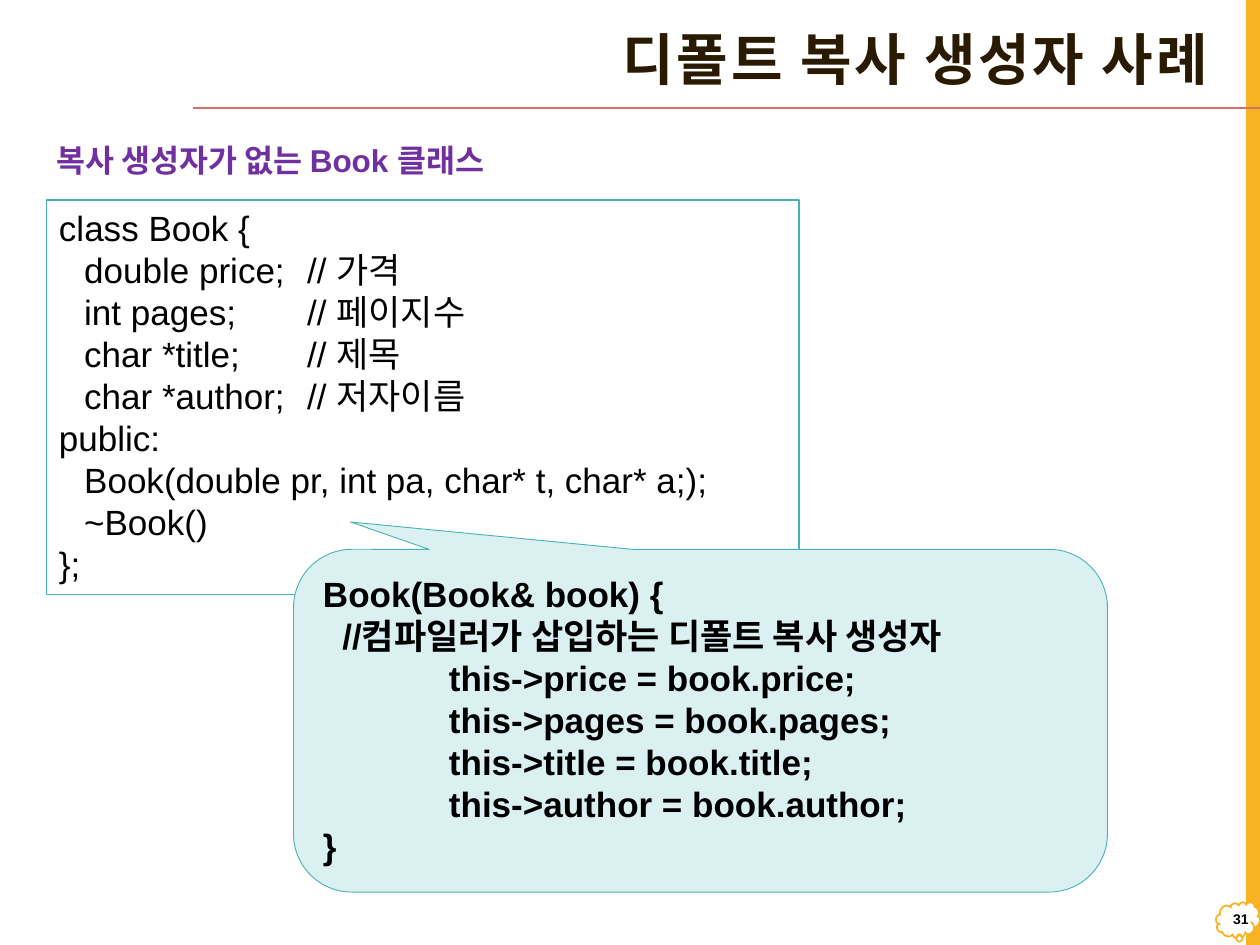
from lxml import etree
from pptx import Presentation
from pptx.dml.color import RGBColor
from pptx.enum.shapes import MSO_CONNECTOR, MSO_SHAPE
from pptx.enum.text import MSO_ANCHOR, MSO_AUTO_SIZE, PP_ALIGN
from pptx.oxml.ns import qn
from pptx.util import Inches, Pt

RECTANGLE = MSO_SHAPE.RECTANGLE
CLOUD = MSO_SHAPE.CLOUD_CALLOUT
CALLOUT = MSO_SHAPE.ROUNDED_RECTANGULAR_CALLOUT
STRAIGHT = MSO_CONNECTOR.STRAIGHT
TOP, MIDDLE = MSO_ANCHOR.TOP, MSO_ANCHOR.MIDDLE
LEFT, RIGHT = PP_ALIGN.LEFT, PP_ALIGN.RIGHT
NO_AUTOFIT = MSO_AUTO_SIZE.NONE

COLORS = {
    "white": "FFFFFF", "black": "000000", "gold": "F8B323", "rule": "D36F68",
    "title": "2A1A00", "purple": "7030A0", "teal": "46B2B5", "pale": "DAF0F1",
}
FORMATS = {
    "title": {"name": "Roboto Condensed", "size": Pt(32), "bold": True, "color": "title"},
    "number": {"name": "Arial", "size": Pt(8), "bold": True, "color": "black"},
    "heading": {"name": "Arial", "size": Pt(18), "bold": True, "color": "purple"},
    "code": {"name": "Arial", "size": Pt(20), "bold": False, "color": "black"},
    "bold_code": {"name": "Arial", "size": Pt(20), "bold": True, "color": "black"},
}
CLASS_CODE = [
    "class Book {",
    "\tdouble price;\t// 가격",
    "\tint pages;\t// 페이지수",
    "\tchar *title;\t// 제목",
    "\tchar *author;\t// 저자이름",
    "public:",
    "\tBook(double pr, int pa, char* t, char* a;);",
    "\t~Book()",
    "};",
]
CONSTRUCTOR_CODE = [
    "Book(Book& book) {",
    "  //컴파일러가 삽입하는 디폴트 복사 생성자",
    *(f"\tthis->{field} = book.{field};" for field in ("price", "pages", "title", "author")),
    "}",
]


def color(name):
    return RGBColor.from_string(COLORS[name])


def add_box(slide, kind, box, fill, line=None, width=1, adjustments=()):
    shape = slide.shapes.add_shape(kind, *map(Inches, box))
    shape.shadow.inherit = False
    shape.fill.solid()
    shape.fill.fore_color.rgb = color(fill)
    if line:
        shape.line.color.rgb = color(line)
        shape.line.width = Pt(width)
    else:
        shape.line.fill.background()
    for index, value in enumerate(adjustments):
        shape.adjustments[index] = value
    return shape


def add_tab_stops(paragraph, positions):
    tab_list = etree.SubElement(paragraph._p.get_or_add_pPr(), qn("a:tabLst"))
    for position in positions:
        etree.SubElement(tab_list, qn("a:tab"), pos=str(Inches(position)), algn="l")


def write(shape, lines, style, align=LEFT, anchor=TOP, wrap=True, spacing=None, tabs=()):
    frame = shape.text_frame
    frame.word_wrap = wrap
    frame.auto_size = NO_AUTOFIT
    frame.vertical_anchor = anchor
    for index, line in enumerate(lines):
        paragraph = frame.add_paragraph() if index else frame.paragraphs[0]
        paragraph.alignment = align
        if spacing:
            paragraph.line_spacing = spacing
        if tabs:
            add_tab_stops(paragraph, tabs)
        run = paragraph.add_run()
        run.text = line
        for name, value in FORMATS[style].items():
            if name == "color":
                run.font.color.rgb = color(value)
            else:
                setattr(run.font, name, value)


def add_text(slide, box, lines, style, **options):
    write(slide.shapes.add_textbox(*map(Inches, box)), lines, style, **options)


def add_frame(slide, width, height):
    # Side bar, page-number cloud and title rule
    add_box(slide, RECTANGLE, (width - 0.11, 0, 0.11, height), "gold")
    add_box(slide, CLOUD, (width - 0.35, 7.16, 0.35, 0.29), "white", "gold",
            adjustments=(0.03, 0.43))
    rule = slide.shapes.add_connector(
        STRAIGHT, Inches(width), Inches(0.86), Inches(1.53), Inches(0.86))
    rule.line.color.rgb = color("rule")
    rule.line.width = Pt(1)
    etree.SubElement(rule._element.spPr, qn("a:effectLst"))
    add_text(slide, (width - 0.34, 7.12, 0.35, 0.35), ["31"], "number",
             align=RIGHT, anchor=MIDDLE)


def add_title(slide, box):
    title = slide.shapes.title
    title.left, title.top, title.width, title.height = map(Inches, box)
    write(title, ["디폴트 복사 생성자 사례"], "title", align=RIGHT, anchor=MIDDLE, spacing=0.9)
    # Letter spacing in hundredths of a point
    title.text_frame.paragraphs[0].runs[0]._r.get_or_add_rPr().set("spc", "150")


def add_class_code(slide, box):
    left, top = box[:2]
    panel = add_box(slide, RECTANGLE, box, "white", "teal")
    write(panel, CLASS_CODE, "code", spacing=Pt(24), tabs=(0.2, 1.97))
    add_text(slide, (left - 0.02, top - 0.52, 3.95, 0.4),
             ["복사 생성자가 없는 Book 클래스"], "heading", wrap=False)


def add_constructor_callout(slide, box):
    callout = add_box(slide, CALLOUT, box, "pale", "teal", 0.5, (-0.43, -0.58, 0.17))
    write(callout, CONSTRUCTOR_CODE, "bold_code", spacing=Pt(24), tabs=(1,))


def main():
    presentation = Presentation()
    presentation.slide_width, presentation.slide_height = Inches(10), Inches(7.5)
    slide = presentation.slides.add_slide(presentation.slide_layouts[5])
    add_frame(slide, 10, 7.5)
    add_title(slide, (1.32, 0.13, 8.37, 0.73))
    add_class_code(slide, (0.37, 1.59, 5.97, 3.13))
    add_constructor_callout(slide, (2.33, 4.36, 6.46, 2.72))
    presentation.save("out.pptx")


if __name__ == "__main__":
    main()
